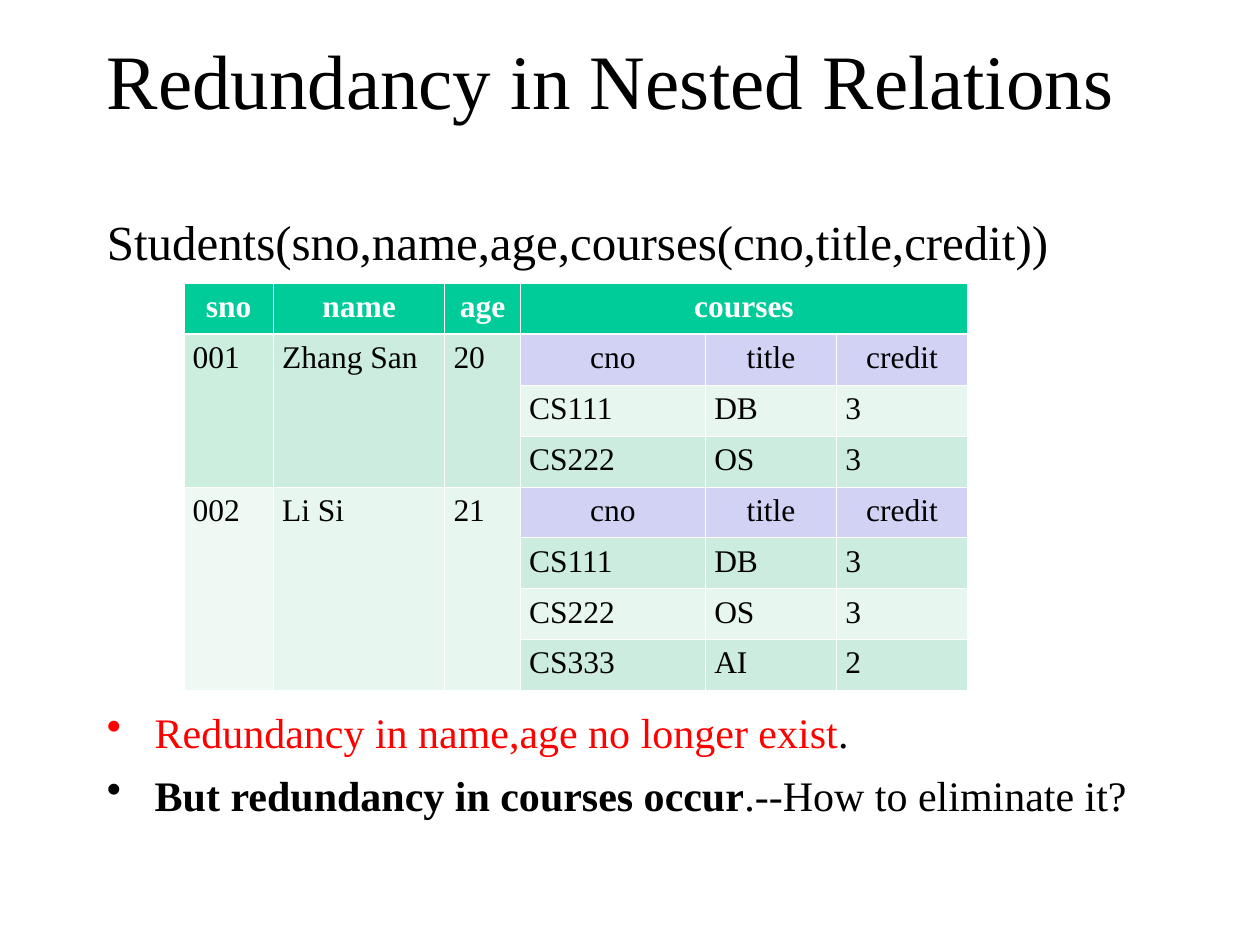
from lxml.etree import SubElement
from pptx import Presentation
from pptx.dml.color import RGBColor
from pptx.enum.text import MSO_ANCHOR, PP_ALIGN
from pptx.oxml.ns import qn
from pptx.util import Inches, Pt

FONT = "Times New Roman"
BLACK = RGBColor(0x00, 0x00, 0x00)
WHITE = RGBColor(0xFF, 0xFF, 0xFF)
RED = RGBColor(0xFF, 0x00, 0x00)
HEADER_GREEN = RGBColor(0x00, 0xCC, 0x99)
LAVENDER = RGBColor(0xD2, 0xD2, 0xF4)
MID_GREEN = RGBColor(0xCB, 0xEC, 0xDE)
LIGHT_GREEN = RGBColor(0xE7, 0xF6, 0xEF)
KEY_MID_GREEN = RGBColor(0xCC, 0xEE, 0xDF)
KEY_LIGHT_GREEN = RGBColor(0xEE, 0xF9, 0xF4)

COLUMN_WIDTHS = [0.71, 1.36, 0.6, 1.47, 1.04, 1.04]
TABLE_HEIGHT = 3.23
THIN, THICK = 0.45, 1.47
STUDENT_FIELDS = ["sno", "name", "age", "courses"]
COURSE_FIELDS = ["cno", "title", "credit"]
STUDENTS = [
    (["001", "Zhang San", "20"], [["CS111", "DB", "3"], ["CS222", "OS", "3"]]),
    (["002", "Li Si", "21"],
     [["CS111", "DB", "3"], ["CS222", "OS", "3"], ["CS333", "AI", "2"]]),
]
BULLETS = [
    [("Redundancy in name,age no longer exist", RED, False), (".", BLACK, False)],
    [("But redundancy in courses occur", BLACK, True),
     (".--How to eliminate it?", BLACK, False)],
]


def style_font(font, size, color, bold=False):
    font.name = FONT
    font.size = Pt(size)
    font.color.rgb = color
    font.bold = bold


def add_text_box(slide, top, height, anchor=MSO_ANCHOR.TOP):
    box = slide.shapes.add_textbox(Inches(0.75), Inches(top), Inches(8.5), Inches(height))
    box.text_frame.word_wrap = True
    box.text_frame.vertical_anchor = anchor
    return box.text_frame


def add_line_of_text(slide, text, size, top, height, anchor=MSO_ANCHOR.TOP):
    paragraph = add_text_box(slide, top, height, anchor).paragraphs[0]
    paragraph.text = text
    style_font(paragraph.font, size, BLACK)


def set_bullet(paragraph, color):
    properties = paragraph._p.get_or_add_pPr()
    properties.set("marL", str(Inches(0.38)))
    properties.set("indent", str(-Inches(0.38)))
    bullet_color = SubElement(properties, qn("a:buClr"))
    SubElement(bullet_color, qn("a:srgbClr"), val=str(color))
    SubElement(properties, qn("a:buChar"), char="•")


def add_bullets(slide):
    frame = add_text_box(slide, 5.56, 1.1)
    for index, runs in enumerate(BULLETS):
        paragraph = frame.add_paragraph() if index else frame.paragraphs[0]
        if index:
            paragraph.space_before = Pt(7)
        set_bullet(paragraph, runs[0][1])
        for text, color, bold in runs:
            run = paragraph.add_run()
            run.text = text
            style_font(run.font, 24, color, bold)


def set_borders(cell, top, bottom):
    properties = cell._tc.get_or_add_tcPr()
    for side, width in (("L", THIN), ("R", THIN), ("T", top), ("B", bottom)):
        line = SubElement(properties, qn(f"a:ln{side}"), w=str(Pt(width)))
        fill = SubElement(line, qn("a:solidFill"))
        SubElement(fill, qn("a:srgbClr"), val=str(WHITE))


def fill_cell(cell, text, fill, alignment=PP_ALIGN.JUSTIFY, color=BLACK, bold=False):
    cell.fill.solid()
    cell.fill.fore_color.rgb = fill
    paragraph = cell.text_frame.paragraphs[0]
    paragraph.text = text
    paragraph.alignment = alignment
    style_font(paragraph.font, 18, color, bold)


def band(row, column):
    if column == 0:
        return KEY_MID_GREEN if row % 2 else KEY_LIGHT_GREEN
    return MID_GREEN if row % 2 else LIGHT_GREEN


def add_student(table, top, details, courses):
    for column, text in enumerate(details):
        table.cell(top, column).merge(table.cell(top + len(courses), column))
        fill_cell(table.cell(top, column), text, band(top, column))
    first = len(details)
    for column, text in enumerate(COURSE_FIELDS, first):
        fill_cell(table.cell(top, column), text, LAVENDER, PP_ALIGN.CENTER)
    for row, course in enumerate(courses, top + 1):
        for column, text in enumerate(course, first):
            fill_cell(table.cell(row, column), text, band(row, column))


def add_students_table(slide):
    row_count = 1 + sum(1 + len(courses) for _, courses in STUDENTS)
    table = slide.shapes.add_table(
        row_count, len(COLUMN_WIDTHS), Inches(1.46), Inches(2.25),
        Inches(sum(COLUMN_WIDTHS)), Inches(TABLE_HEIGHT)).table
    table.horz_banding = False
    for column, width in zip(table.columns, COLUMN_WIDTHS):
        column.width = Inches(width)
    for index, row in enumerate(table.rows):
        for cell in row.cells:
            cell.margin_left = cell.margin_right = Inches(0.07)
            cell.margin_top = cell.margin_bottom = Inches(0.05)
            set_borders(cell, THICK if index == 1 else THIN, THICK if index == 0 else THIN)

    table.cell(0, 3).merge(table.cell(0, 5))
    for column, text in enumerate(STUDENT_FIELDS):
        fill_cell(table.cell(0, column), text, HEADER_GREEN, PP_ALIGN.CENTER, WHITE, True)
    top = 1
    for details, courses in STUDENTS:
        add_student(table, top, details, courses)
        top += 1 + len(courses)


def main():
    presentation = Presentation()
    presentation.slide_width = Inches(10)
    presentation.slide_height = Inches(7.5)
    slide = presentation.slides.add_slide(presentation.slide_layouts[6])
    add_line_of_text(slide, "Redundancy in Nested Relations", 44, 0, 1.25, MSO_ANCHOR.MIDDLE)
    add_line_of_text(slide, "Students(sno,name,age,courses(cno,title,credit))", 28, 1.63, 0.55)
    add_students_table(slide)
    add_bullets(slide)
    presentation.save("out.pptx")


if __name__ == "__main__":
    main()
